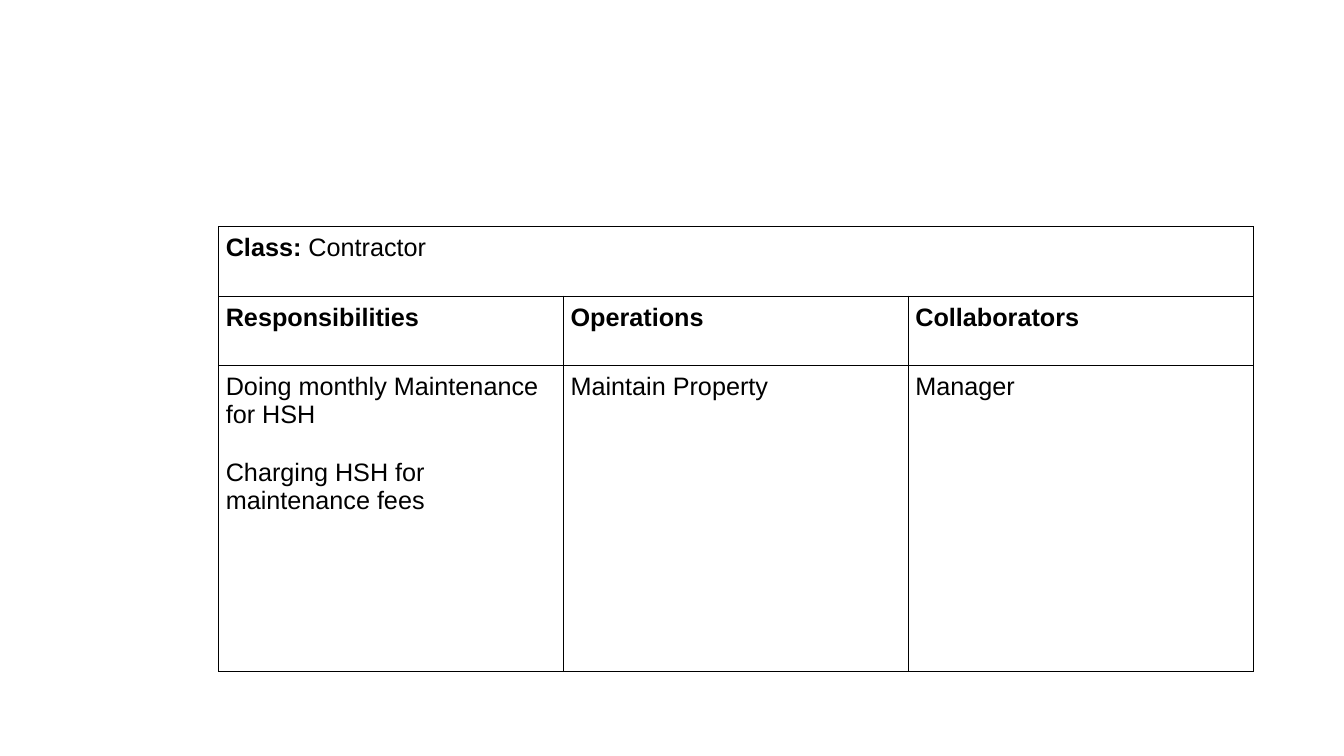
from lxml.etree import SubElement
from pptx import Presentation
from pptx.dml.color import RGBColor
from pptx.oxml.ns import qn
from pptx.util import Inches, Pt

COLORS = {"text": "000000", "border": "000000", "page": "FFFFFF"}
COLUMN_WIDTH = 3.42
ROW_HEIGHTS = [0.69, 0.69, 3.03]
HEADINGS = ["Responsibilities", "Operations", "Collaborators"]
DETAILS = [
    ["Doing monthly Maintenance for HSH", "Charging HSH for maintenance fees"],
    ["Maintain Property"],
    ["Manager"],
]


def add_text(para, text, size=18, bold=False, font="Arial", color="text"):
    """Append a formatted span of text to a paragraph."""
    span = para.add_run()
    span.text = text
    span.font.name = font
    span.font.size = Pt(size)
    span.font.bold = bold
    span.font.color.rgb = RGBColor.from_string(COLORS[color])


def add_borders(cell, width=1):
    """Draw a solid line on all four sides of a cell."""
    properties = cell._tc.get_or_add_tcPr()
    for position, side in enumerate(("lnL", "lnR", "lnT", "lnB")):
        line = SubElement(properties, qn(f"a:{side}"), w=str(Pt(width)))
        fill = SubElement(line, qn("a:solidFill"))
        SubElement(fill, qn("a:srgbClr"), val=COLORS["border"])
        properties.insert(position, line)


def style_cell(cell):
    """Give a cell its margins, plain fill and borders."""
    cell.margin_left = cell.margin_right = Inches(0.07)
    cell.margin_top = cell.margin_bottom = Inches(0.07)
    cell.fill.background()
    add_borders(cell)


def fill_cell(cell, lines, **text_format):
    """Write each line as a paragraph, with a gap between paragraphs."""
    frame = cell.text_frame
    for index, line in enumerate(lines):
        para = frame.add_paragraph() if index else frame.paragraphs[0]
        if index:
            para.space_before = Pt(21)
        add_text(para, line, **text_format)


def add_class_card(page):
    """Add the table with the class, its duties and its collaborators."""
    frame = page.shapes.add_table(
        len(ROW_HEIGHTS), len(HEADINGS), Inches(2.17), Inches(2.25),
        Inches(COLUMN_WIDTH * len(HEADINGS)), Inches(sum(ROW_HEIGHTS)))
    table = frame.table
    table.first_row = False
    table.horz_banding = False
    for column in table.columns:
        column.width = Inches(COLUMN_WIDTH)
    for row, height in zip(table.rows, ROW_HEIGHTS):
        row.height = Inches(height)
        for cell in row.cells:
            style_cell(cell)

    title = table.cell(0, 0)
    title.merge(table.cell(0, len(HEADINGS) - 1))
    fill_cell(title, ["Class: "], bold=True)
    add_text(title.text_frame.paragraphs[0], "Contractor")
    for index, (heading, lines) in enumerate(zip(HEADINGS, DETAILS)):
        fill_cell(table.cell(1, index), [heading], bold=True)
        fill_cell(table.cell(2, index), lines)


def main():
    """Build the slide and save the deck."""
    deck = Presentation()
    deck.slide_width = Inches(13.33)
    deck.slide_height = Inches(7.5)
    page = deck.slides.add_slide(deck.slide_layouts[6])
    page.background.fill.solid()
    page.background.fill.fore_color.rgb = RGBColor.from_string(COLORS["page"])
    add_class_card(page)
    deck.save("out.pptx")


if __name__ == "__main__":
    main()
